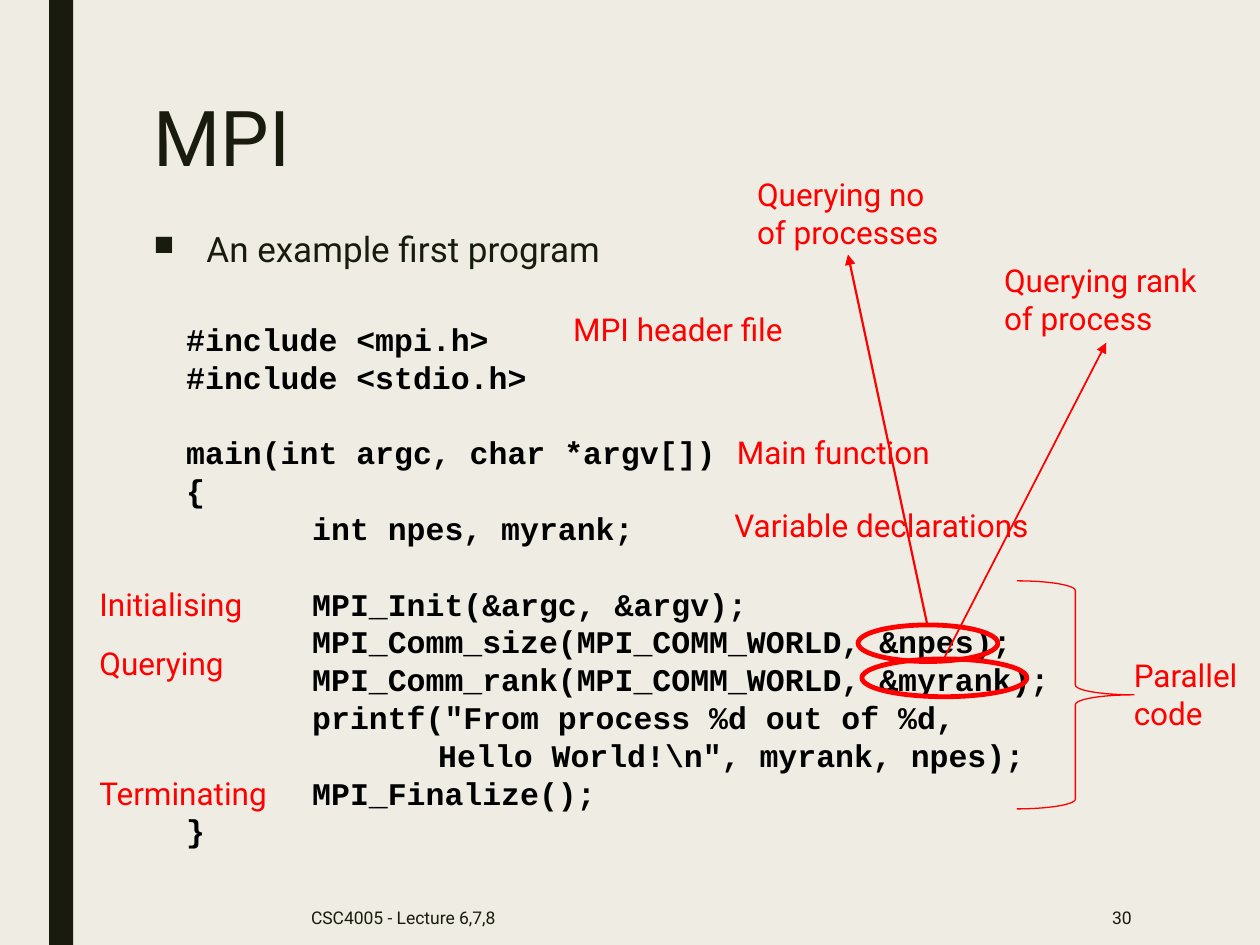
from lxml.etree import SubElement
from pptx import Presentation
from pptx.dml.color import RGBColor
from pptx.enum.shapes import MSO_CONNECTOR, MSO_SHAPE
from pptx.enum.text import MSO_ANCHOR, PP_ALIGN
from pptx.oxml.ns import qn
from pptx.util import Inches, Pt

COLS, ROWS = 100, 75
DARK, RED, BLACK, PAPER = "191B0E", "FF0000", "000000", "EFEDE3"
SANS, MONO = "Roboto", "Courier New"

# Each block of code is set apart by one line of space.
CODE = [
    ["#include <mpi.h>", "#include <stdio.h>"],
    ["main(int argc, char *argv[])", "{", "\tint npes, myrank;"],
    ["\tMPI_Init(&argc, &argv);",
     "\tMPI_Comm_size(MPI_COMM_WORLD, &npes);",
     "\tMPI_Comm_rank(MPI_COMM_WORLD, &myrank);",
     '\tprintf("From process %d out of %d,',
     '\t\tHello World!\\n", myrank, npes);',
     "\tMPI_Finalize();",
     "}"],
]
LABELS = [
    ("MPI header file", 44.5, 24.1, 26.8, 4),
    ("Main function", 57.5, 33.9, 26.8, 4),
    ("Variable declarations", 57.3, 39.7, 26.8, 4),
    ("Initialising", 6.9, 45.9, 26.8, 4),
    ("Querying", 6.9, 50.6, 26.8, 4),
    ("Terminating", 6.9, 60.9, 26.8, 4),
    ("Parallel code", 89, 51.6, 10.3, 7.1),
    ("Querying no of processes", 59.1, 13.4, 16.5, 7.1),
    ("Querying rank of process", 78.7, 20.2, 18.2, 7.1),
]
RINGS = [(68.1, 49.6, 11.1, 2.9), (68.4, 52.3, 13.1, 3)]
ARROWS = [(73.6, 49.6, 67.3, 20.2, 1.25), (74.9, 52.3, 87.8, 27.2, 1)]


def tint(code):
    return RGBColor.from_string(code)


class Page:
    """One slide on a grid of COLS by ROWS, with its style."""

    def __init__(self, deck):
        self.wide, self.high = deck.slide_width, deck.slide_height
        self.slide = deck.slides.add_slide(deck.slide_layouts[5])
        fill = self.slide.background.fill
        fill.solid()
        fill.fore_color.rgb = tint(PAPER)

    def place(self, x, y, w, h):
        """Turn grid units into slide lengths."""
        return (round(x * self.wide / COLS), round(y * self.high / ROWS),
                round(w * self.wide / COLS), round(h * self.high / ROWS))

    def style(self, para, size, color, face=SANS, bold=False):
        font = para.font
        font.size, font.name, font.bold = Pt(size), face, bold
        font.color.rgb = tint(color)

    def title(self, text, *box):
        head = self.slide.shapes.title
        head.left, head.top, head.width, head.height = self.place(*box)
        head.text_frame.vertical_anchor = MSO_ANCHOR.TOP
        para = head.text_frame.paragraphs[0]
        para.text, para.alignment, para.line_spacing = text, PP_ALIGN.LEFT, 0.89
        self.style(para, 44, DARK)

    def text(self, text, *box, size=18, color=RED, anchor=MSO_ANCHOR.TOP,
             align=PP_ALIGN.LEFT):
        frame = self.slide.shapes.add_textbox(*self.place(*box)).text_frame
        frame.word_wrap, frame.vertical_anchor = True, anchor
        para = frame.paragraphs[0]
        para.text, para.alignment = text, align
        self.style(para, size, color)
        return para

    def bullet(self, text, *box):
        para = self.text(text, *box, size=20, color=DARK)
        para.line_spacing = 0.94
        props = para._p.get_or_add_pPr()
        props.set("marL", str(Inches(0.42)))
        props.set("indent", str(Inches(-0.42)))
        font = props.find(qn("a:defRPr"))
        font.addprevious(SubElement(props, qn("a:buSzPct"), val="80000"))
        font.addprevious(SubElement(props, qn("a:buChar"), char="■"))

    def tabs(self, para, count=2):
        """Set left tab stops one inch apart."""
        stops = SubElement(para._p.get_or_add_pPr(), qn("a:tabLst"))
        for step in range(1, count + 1):
            SubElement(stops, qn("a:tab"), pos=str(Inches(step)), algn="l")

    def code(self, blocks, *box):
        frame = self.slide.shapes.add_textbox(*self.place(*box)).text_frame
        frame.word_wrap = True
        pitch = Pt(21.6)
        para = None
        for block in blocks:
            for row, line in enumerate(block):
                gap = para is not None and row == 0
                para = frame.add_paragraph() if para else frame.paragraphs[0]
                para.text, para.line_spacing = line, pitch
                if gap:
                    para.space_before = pitch
                self.tabs(para)
                self.style(para, 18, BLACK, MONO, True)

    def shape(self, kind, *box, fill=None, line=None, width=1):
        item = self.slide.shapes.add_shape(kind, *self.place(*box))
        item.shadow.inherit = False
        if fill:
            item.fill.solid()
            item.fill.fore_color.rgb = tint(fill)
        else:
            item.fill.background()
        if line:
            item.line.color.rgb, item.line.width = tint(line), Pt(width)
        else:
            item.line.fill.background()

    def arrow(self, x, y, far, top, width):
        ends = self.place(x, y, far, top)
        item = self.slide.shapes.add_connector(MSO_CONNECTOR.STRAIGHT, *ends)
        item.line.color.rgb, item.line.width = tint(RED), Pt(width)
        SubElement(item.line._get_or_add_ln(), qn("a:tailEnd"), type="triangle")
        SubElement(item._element.spPr, qn("a:effectLst"))


def main():
    deck = Presentation()
    deck.slide_width, deck.slide_height = Inches(10), Inches(7.5)
    page = Page(deck)
    page.shape(MSO_SHAPE.RECTANGLE, 3.9, 0, 1.9, ROWS, fill=DARK)
    page.title("MPI", 11.2, 7.5, 78.8, 16.2)
    page.bullet("An example first program", 11.2, 17.8, 78.8, 46.4)
    foot = {"size": 10, "color": DARK, "anchor": MSO_ANCHOR.MIDDLE}
    page.text("CSC4005 - Lecture 6,7,8", 23.7, 70.6, 51.5, 4.4, **foot)
    page.text("30", 77.7, 70.6, 13.1, 4.4, align=PP_ALIGN.RIGHT, **foot)
    page.code(CODE, 13.8, 24.9, 80.3, 43.4)
    for label in LABELS:
        page.text(*label)
    page.shape(MSO_SHAPE.RIGHT_BRACE, 80.7, 46.1, 9.3, 18.1, line=RED, width=0.75)
    for ring in RINGS:
        page.shape(MSO_SHAPE.OVAL, *ring, line=RED, width=2.75)
    for arrow in ARROWS:
        page.arrow(*arrow)
    deck.save("out.pptx")


if __name__ == "__main__":
    main()
